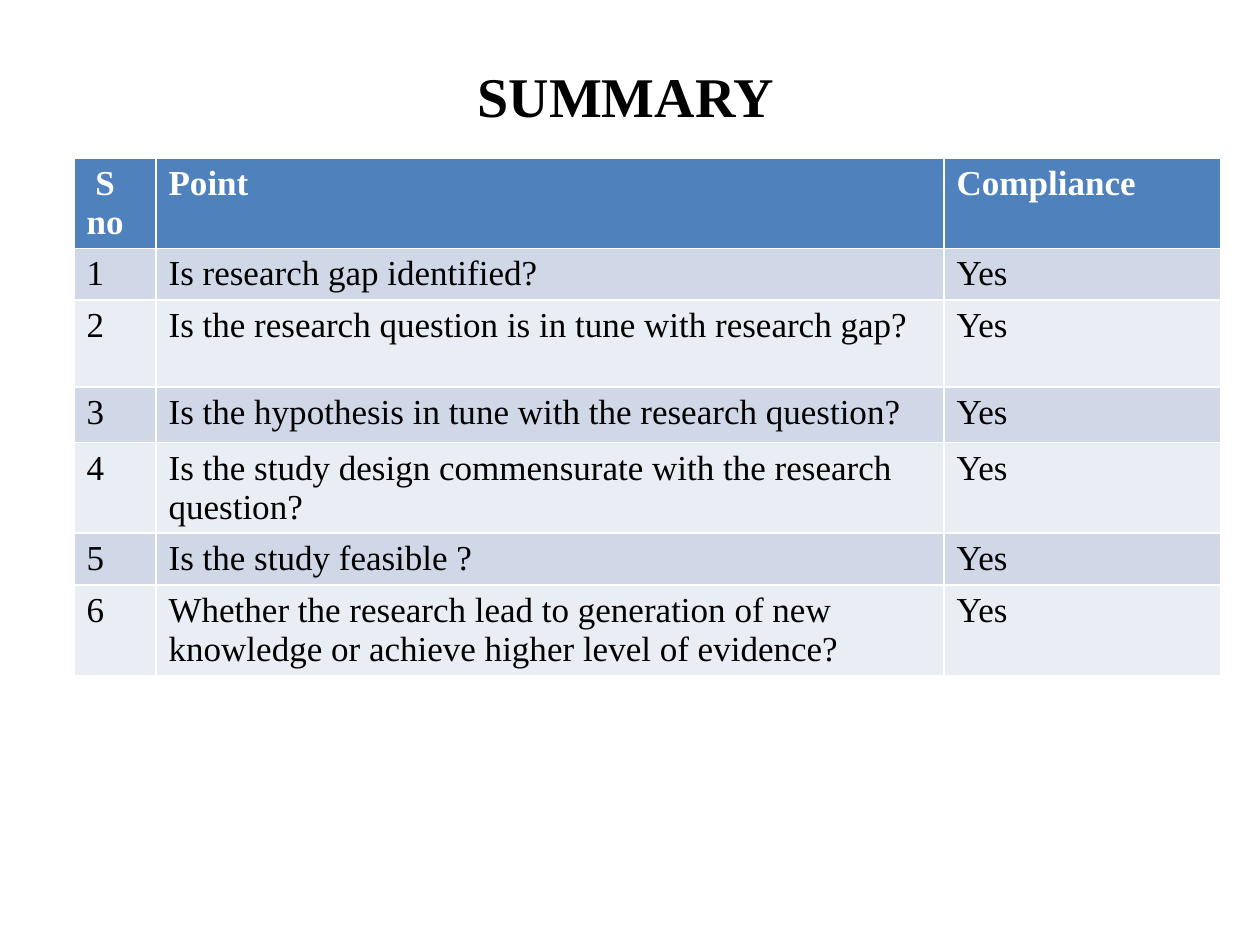
"""Build the SUMMARY slide with its research compliance table."""
from dataclasses import dataclass

from pptx import Presentation
from pptx.dml.color import RGBColor
from pptx.enum.text import MSO_ANCHOR, PP_ALIGN
from pptx.slide import Slide
from pptx.text.text import TextFrame
from pptx.util import Emu, Pt

CENTER = PP_ALIGN.CENTER
MIDDLE = MSO_ANCHOR.MIDDLE

FONT = "Times New Roman"
BLACK = RGBColor(0x00, 0x00, 0x00)
WHITE = RGBColor(0xFF, 0xFF, 0xFF)
HEADER_BLUE = RGBColor(0x4F, 0x81, 0xBD)
BAND_DARK = RGBColor(0xD0, 0xD8, 0xE8)
BAND_LIGHT = RGBColor(0xE9, 0xED, 0xF4)

PX_PER_INCH = 126
COL_WIDTHS = (82, 788, 277)
HEADER = (" S no", "Point", "Compliance")
HEADER_HEIGHT = 90


@dataclass(frozen=True)
class Check:
    """One question of the checklist with its row height in px."""
    point: str
    height: int
    compliance: str = "Yes"


CHECKS = (
    Check("Is research gap identified?", 51),
    Check("Is the research question is in tune with research gap?", 87),
    Check("Is the hypothesis in tune with the research question?", 56),
    Check("Is the study design commensurate with the research question?", 90),
    Check("Is the study feasible ?", 52),
    Check("Whether the research lead to generation of new knowledge "
          "or achieve higher level of evidence?", 90),
)


def px(n: int) -> Emu:
    """Turn whole px into EMU."""
    return Emu(n * 914400 // PX_PER_INCH)


def add_run(tf: TextFrame, text: str, size: int, color: RGBColor, bold: bool) -> None:
    """Add one formatted run to the first paragraph."""
    r = tf.paragraphs[0].add_run()
    r.text = text
    r.font.name = FONT
    r.font.size = Pt(size)
    r.font.bold = bold
    r.font.color.rgb = color


def add_title(s: Slide, text: str) -> None:
    """Place and fill the title placeholder."""
    sp = s.shapes.title
    sp.left, sp.top, sp.width, sp.height = px(-4), px(55), px(1260), px(81)
    tf = sp.text_frame
    tf.word_wrap = True
    tf.vertical_anchor = MIDDLE
    tf.paragraphs[0].alignment = CENTER
    add_run(tf, text, 32, BLACK, True)


def add_checklist(s: Slide, checks: tuple[Check, ...]) -> None:
    """Draw the header row and one banded row per check."""
    rows = [HEADER] + [(str(n), c.point, c.compliance) for n, c in enumerate(checks, 1)]
    heights = [HEADER_HEIGHT] + [c.height for c in checks]
    table = s.shapes.add_table(len(rows), len(HEADER), px(74), px(158),
                               px(sum(COL_WIDTHS)), px(sum(heights))).table
    for column, width in zip(table.columns, COL_WIDTHS):
        column.width = px(width)
    for i, (texts, height) in enumerate(zip(rows, heights)):
        table.rows[i].height = px(height)
        is_header = i == 0
        fill = HEADER_BLUE if is_header else BAND_DARK if i % 2 else BAND_LIGHT
        for j, text in enumerate(texts):
            cell = table.cell(i, j)
            cell.fill.solid()
            cell.fill.fore_color.rgb = fill
            add_run(cell.text_frame, text, 20, WHITE if is_header else BLACK, is_header)


def main() -> None:
    """Build and save the slide."""
    prs = Presentation()
    prs.slide_width, prs.slide_height = px(1260), px(945)
    s = prs.slides.add_slide(prs.slide_layouts.get_by_name("Title Only"))
    add_checklist(s, CHECKS)
    add_title(s, "SUMMARY")
    prs.save("out.pptx")


if __name__ == "__main__":
    main()
